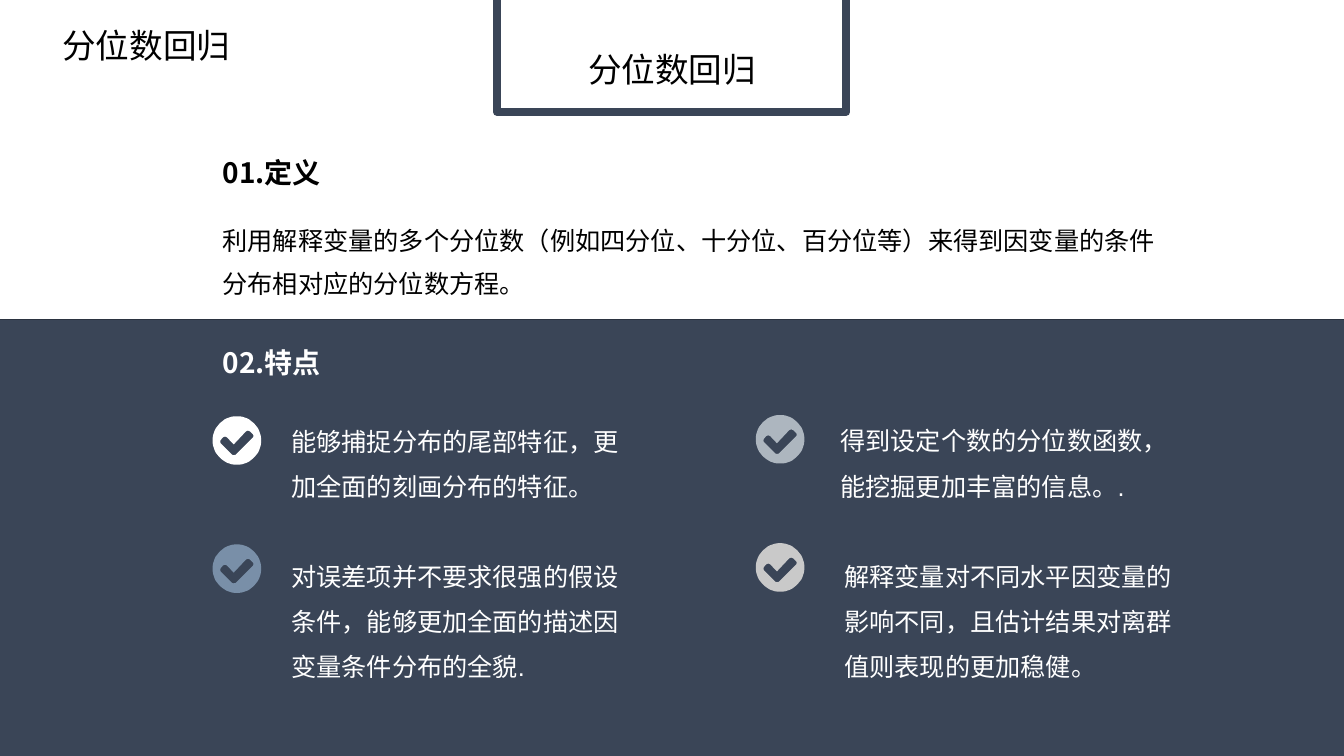
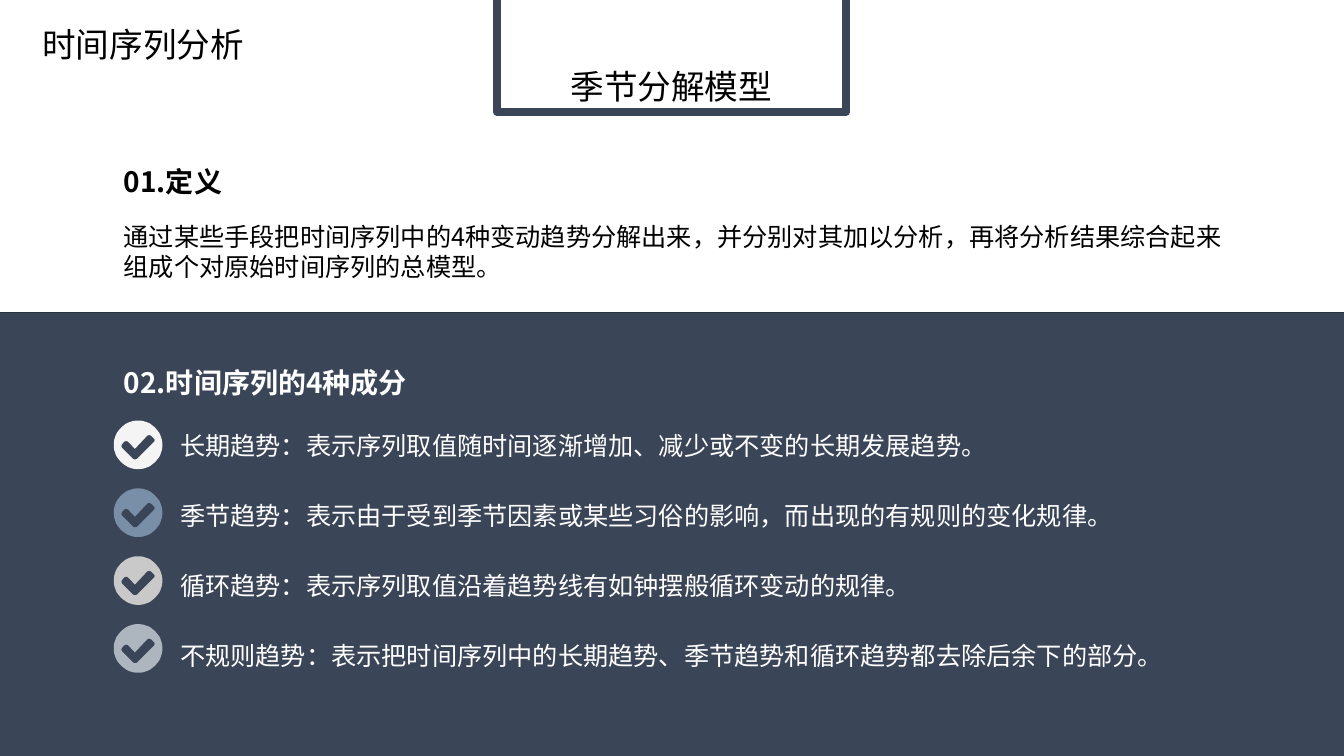
import math
from dataclasses import dataclass
from typing import Optional

from pptx import Presentation
from pptx import util as u
from pptx.dml import color
from pptx.enum import shapes, text
from pptx.slide import Slide

NAVY, NAVY_EDGE, WHITE, BLACK = "3A4557", "2B3340", "FFFFFF", "000000"
STEEL, MIST, SILVER, PEARL = "798FA8", "ADB6BF", "C9C9C9", "F4F4F4"
SANS, LATIN, DISPLAY = "Noto Sans CJK SC", "Arial", "Montserrat"
TOP, MIDDLE, BOTTOM = text.MSO_ANCHOR.TOP, text.MSO_ANCHOR.MIDDLE, text.MSO_ANCHOR.BOTTOM

TICK_UNIT = u.Cm(0.01)
TICK_RADIUS = 61
CHECK_MARK = [
    (102, 46), (94, 38), (89, 36), (84, 38), (53, 71), (36, 53), (31, 51), (26, 53),
    (20, 60), (19, 64), (20, 68), (49, 97), (53, 98), (58, 97), (102, 53), (103, 49),
]


@dataclass(frozen=True)
class Box:
    left: float
    top: float
    width: float
    height: float

    def lengths(self) -> tuple:
        return u.Cm(self.left), u.Cm(self.top), u.Cm(self.width), u.Cm(self.height)


@dataclass(frozen=True)
class Style:
    size: int = 18
    font: str = SANS
    ink: str = BLACK
    bold: bool = False
    centred: bool = False
    anchor: text.MSO_ANCHOR = TOP
    spacing: Optional[float] = None


@dataclass(frozen=True)
class Label:
    words: str
    box: Box
    style: Style


@dataclass(frozen=True)
class Tick:
    left: float
    top: float
    fill: str


@dataclass(frozen=True)
class Page:
    band: Box
    labels: list[Label]
    ticks: list[Tick]


FRAME = Box(12.52, -1.52, 8.81, 4.34)
TITLE = Style(24, centred=True, anchor=BOTTOM, spacing=0.9)
DISPLAY_TITLE = Style(24, DISPLAY, centred=True, anchor=BOTTOM, spacing=0.9)
HEADING = Style(20, bold=True, anchor=MIDDLE)
LIGHT_HEADING = Style(20, ink=WHITE, bold=True, anchor=MIDDLE)
DEFINITION = Style(font=LATIN, spacing=1.4)
FEATURE = Style(font=LATIN, ink=WHITE, anchor=MIDDLE, spacing=1.5)
COMPONENT = Style(ink=WHITE)

COMPONENTS = [
    ("长期趋势：表示序列取值随时间逐渐增加、减少或不变的长期发展趋势。", PEARL),
    ("季节趋势：表示由于受到季节因素或某些习俗的影响，而出现的有规则的变化规律。", STEEL),
    ("循环趋势：表示序列取值沿着趋势线有如钟摆般循环变动的规律。", SILVER),
    ("不规则趋势：表示把时间序列中的长期趋势、季节趋势和循环趋势都去除后余下的部分。", MIST),
]

QUANTILE_PAGE = Page(
    band=Box(-1.02, 8.05, 35.89, 13.03),
    labels=[
        Label("分位数回归", Box(0.46, 0.03, 6.45, 1.75), TITLE),
        Label("分位数回归", Box(12.85, 0.64, 8.18, 1.75), TITLE),
        Label("01.定义", Box(5.36, 3.73, 8.36, 1.22), HEADING),
        Label("利用解释变量的多个分位数（例如四分位、十分位、百分位等）来得到因变量的条件分布相对应的分位数方程。",
              Box(5.36, 5.26, 24.1, 4.5), DEFINITION),
        Label("02.特点", Box(5.36, 8.51, 8.36, 1.22), LIGHT_HEADING),
        Label("能够捕捉分布的尾部特征，更加全面的刻画分布的特征。",
              Box(7.09, 10.24, 9.14, 2.51), FEATURE),
        Label("对误差项并不要求很强的假设条件，能够更加全面的描述因变量条件分布的全貌.",
              Box(7.09, 13.69, 8.89, 3.56), FEATURE),
        Label("得到设定个数的分位数函数，能挖掘更加丰富的信息。.",
              Box(20.93, 10.69, 9.14, 1.6), FEATURE),
        Label("解释变量对不同水平因变量的影响不同，且估计结果对离群值则表现的更加稳健。",
              Box(21.03, 13.87, 9.14, 3.2), FEATURE),
    ],
    ticks=[
        Tick(5.36, 10.49, WHITE), Tick(5.36, 13.72, STEEL),
        Tick(19.05, 10.46, MIST), Tick(19.05, 13.69, SILVER),
    ],
)

SEASONAL_PAGE = Page(
    band=Box(-0.33, 7.87, 35.61, 12.17),
    labels=[
        Label("时间序列分析", Box(0.38, 0, 6.45, 1.75), TITLE),
        Label("季节分解模型", Box(13.06, 1.07, 7.72, 1.75), DISPLAY_TITLE),
        Label("01.定义", Box(2.87, 4.01, 3.58, 1.12), HEADING),
        Label("通过某些手段把时间序列中的4种变动趋势分解出来，并分别对其加以分析，再将分析结果综合起来组成个对原始时间序列的总模型。",
              Box(2.87, 5.44, 28.63, 1.8), Style()),
        Label("02.时间序列的4种成分", Box(2.87, 9.07, 8.74, 1.12), LIGHT_HEADING),
    ] + [
        Label(words, Box(4.29, 10.72 + 1.76 * row, 28.63, 1.02), COMPONENT)
        for row, (words, _) in enumerate(COMPONENTS)
    ],
    ticks=[Tick(2.87, 10.6 + 1.71 * row, fill) for row, (_, fill) in enumerate(COMPONENTS)],
)


def rgb(value: str) -> color.RGBColor:
    return color.RGBColor.from_string(value)


def paint(shape, fill: str) -> None:
    shape.shadow.inherit = False
    shape.fill.solid()
    shape.fill.fore_color.rgb = rgb(fill)


def add_panel(slide: Slide, box: Box, fill: str, edge: str, weight: float) -> None:
    shape = slide.shapes.add_shape(shapes.MSO_SHAPE.RECTANGLE, *box.lengths())
    paint(shape, fill)
    shape.line.color.rgb = rgb(edge)
    shape.line.width = u.Pt(weight)


def add_tick(slide: Slide, tick: Tick) -> None:
    angles = [math.radians(degree) for degree in range(0, 360, 6)]
    circle = [(round(TICK_RADIUS * (1 + math.cos(angle))),
               round(TICK_RADIUS * (1 + math.sin(angle)))) for angle in angles]
    builder = slide.shapes.build_freeform(*circle[0], scale=TICK_UNIT)
    builder.add_line_segments(circle[1:], close=True)
    builder.move_to(*CHECK_MARK[0])
    builder.add_line_segments(CHECK_MARK[1:], close=True)
    shape = builder.convert_to_shape(u.Cm(tick.left), u.Cm(tick.top))
    paint(shape, tick.fill)
    shape.line.fill.background()


def add_label(slide: Slide, label: Label) -> None:
    style = label.style
    frame = slide.shapes.add_textbox(*label.box.lengths()).text_frame
    frame.word_wrap = True
    frame.vertical_anchor = style.anchor
    paragraph = frame.paragraphs[0]
    paragraph.text = label.words
    if style.centred:
        paragraph.alignment = text.PP_ALIGN.CENTER
    if style.spacing:
        paragraph.line_spacing = style.spacing
    paragraph.font.size = u.Pt(style.size)
    paragraph.font.name = style.font
    paragraph.font.bold = style.bold
    paragraph.font.color.rgb = rgb(style.ink)


def add_page(presentation, page: Page) -> None:
    slide = presentation.slides.add_slide(presentation.slide_layouts[6])
    add_panel(slide, page.band, NAVY, NAVY_EDGE, 1)
    add_panel(slide, FRAME, WHITE, NAVY, 5.5)
    for tick in page.ticks:
        add_tick(slide, tick)
    for label in page.labels:
        add_label(slide, label)


def main() -> None:
    presentation = Presentation()
    presentation.slide_width = u.Cm(33.87)
    presentation.slide_height = u.Cm(19.05)
    for page in (QUANTILE_PAGE, SEASONAL_PAGE):
        add_page(presentation, page)
    presentation.save("out.pptx")


if __name__ == "__main__":
    main()
